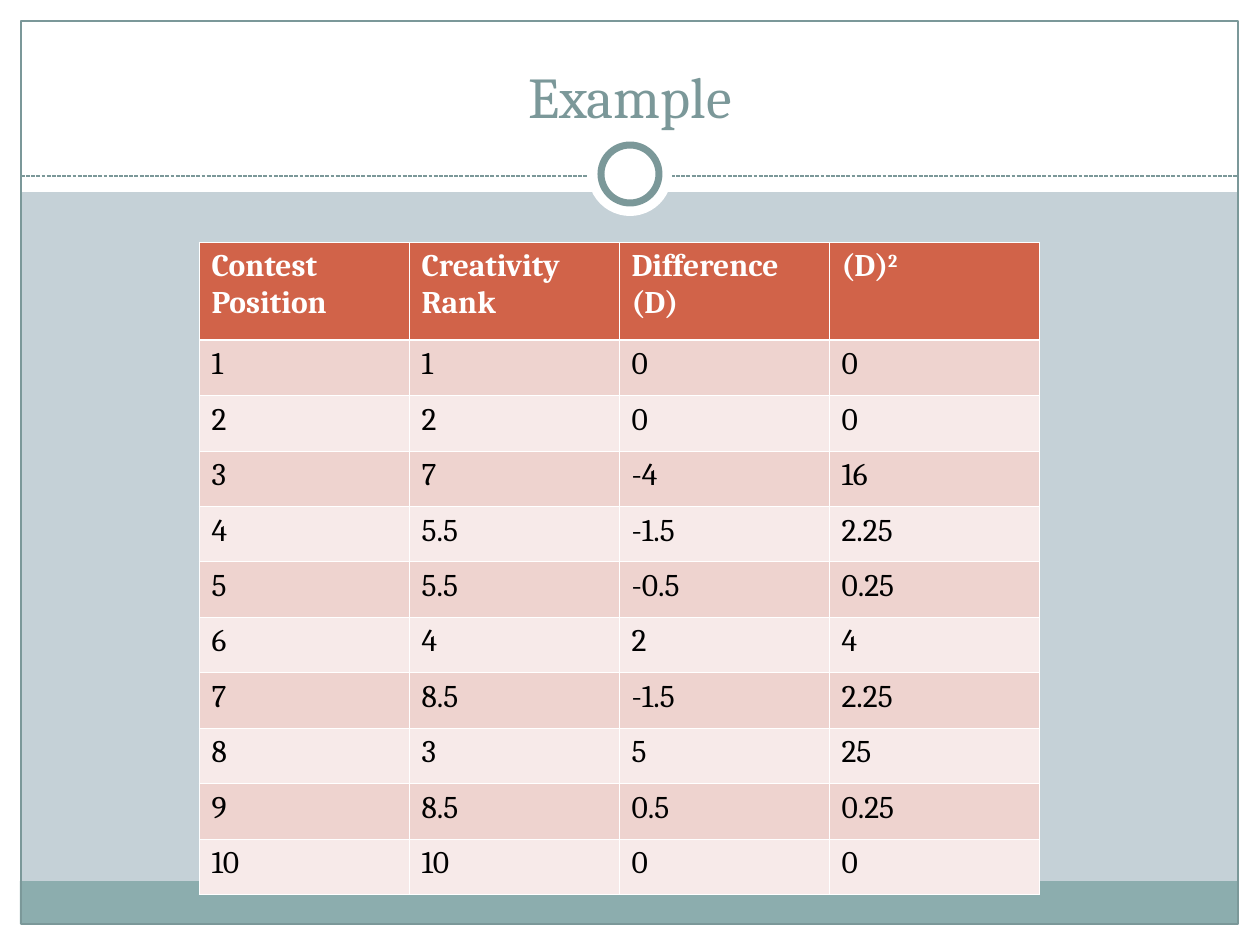
"""Build the rank-difference example slide with its table."""
from typing import NamedTuple, Optional

from lxml.etree import SubElement
from pptx import Presentation
from pptx.dml.color import RGBColor as Rgb
from pptx.enum.dml import MSO_LINE as Dash
from pptx.enum.shapes import MSO_CONNECTOR as Connector, MSO_SHAPE as Preset
from pptx.enum.text import MSO_ANCHOR as Anchor, MSO_AUTO_SIZE as AutoSize, PP_ALIGN as Align
from pptx.oxml.ns import qn
from pptx.util import Emu, Pt

EMU_PER_PX = 914400 / 126
FONT = "Cambria"
COLORS = {
    "page": "C5D1D7", "white": "FFFFFF", "black": "000000", "band": "8CADAE",
    "frame": "7B9899", "header": "D16349", "odd": "EED3CF", "even": "F7EAE9",
}


class Part(NamedTuple):
    left: int
    top: int
    width: int
    height: int
    fill: Optional[str]
    line: Optional[str] = None
    weight: float = 0.75
    preset: Preset = Preset.RECTANGLE


class Span(NamedTuple):
    text: str
    baseline: int = 0


BACKDROP = [
    Part(0, 924, 1260, 21, "white"),
    Part(0, 0, 1260, 192, "white"),
    Part(0, 0, 21, 945, "white"),
    Part(1239, 0, 21, 945, "white"),
    Part(20, 881, 1218, 43, "band"),
    Part(21, 21, 1217, 903, None, "frame"),
]
RINGS = [
    Part(588, 132, 84, 84, "white", preset=Preset.OVAL),
    Part(601, 145, 58, 58, "white", "frame", 4, Preset.OVAL),
]
HEADERS = [
    [Span("Contest Position")],
    [Span("Creativity Rank")],
    [Span("Difference (D)")],
    [Span("(D)"), Span("2", 30000)],
]
RANKS = [1, 2, 7, 5.5, 5.5, 4, 8.5, 3, 8.5, 10]
COLUMN_WIDTH, HEADER_HEIGHT, BODY_HEIGHT = 210, 98, 555


def px(length: float) -> Emu:
    """Turn pixels into EMU."""
    return Emu(round(length * EMU_PER_PX))


def color(name: str) -> Rgb:
    """Look up a named colour."""
    return Rgb.from_string(COLORS[name])


def add_span(para, span: Span, size: int, ink: str, bold: bool = False) -> None:
    """Add one formatted run to a paragraph."""
    run = para.add_run()
    run.text = span.text
    run.font.name, run.font.size, run.font.bold = FONT, Pt(size), bold
    run.font.color.rgb = color(ink)
    if span.baseline:
        run._r.get_or_add_rPr().set("baseline", str(span.baseline))


def add_part(page, part: Part) -> None:
    """Draw one background shape."""
    shape = page.shapes.add_shape(
        part.preset, px(part.left), px(part.top), px(part.width), px(part.height))
    shape.shadow.inherit = False
    if part.fill:
        shape.fill.solid()
        shape.fill.fore_color.rgb = color(part.fill)
    else:
        shape.fill.background()
    if part.line:
        shape.line.color.rgb = color(part.line)
        shape.line.width = Pt(part.weight)
    else:
        shape.line.fill.background()


def add_divider(page) -> None:
    """Draw the dashed line under the title."""
    divider = page.shapes.add_connector(
        Connector.STRAIGHT, px(21), px(176), px(1239), px(176))
    divider.line.color.rgb = color("frame")
    divider.line.width = Pt(0.75)
    divider.line.dash_style = Dash.SQUARE_DOT
    SubElement(divider.element.spPr, qn("a:effectLst"))


def place_title(page, text: str) -> None:
    """Move the title placeholder in front of the backdrop and fill it."""
    title = page.shapes.title
    title.element.getparent().append(title.element)
    title.left, title.top, title.width, title.height = px(42), px(31), px(1176), px(105)
    frame = title.text_frame
    frame.auto_size, frame.word_wrap = AutoSize.NONE, True
    frame.vertical_anchor = Anchor.BOTTOM
    para = frame.paragraphs[0]
    para.alignment = Align.CENTER
    add_span(para, Span(text), 33, "frame")


def add_border(cell, side: str, weight: float) -> None:
    """Add a white border to one side of a cell."""
    line = SubElement(cell._tc.get_or_add_tcPr(), qn(f"a:ln{side}"), w=str(Pt(weight)))
    fill = SubElement(line, qn("a:solidFill"))
    SubElement(fill, qn("a:srgbClr"), val=COLORS["white"])


def fill_cell(cell, spans: list[Span], row: int) -> None:
    """Style a cell by its row and write its text."""
    heavy_side = {0: "B", 1: "T"}.get(row)
    for side in "LRTB":
        add_border(cell, side, 1.47 if side == heavy_side else 0.45)
    cell.fill.solid()
    cell.fill.fore_color.rgb = color("header" if row == 0 else "odd" if row % 2 else "even")
    for span in spans:
        add_span(cell.text_frame.paragraphs[0], span, 18,
                 "black" if row else "white", bold=row == 0)


def add_rank_table(page) -> None:
    """Draw the table of ranks, differences and their squares."""
    rows = [HEADERS]
    for position, rank in enumerate(RANKS, start=1):
        gap = position - rank
        rows.append([[Span(f"{value:g}")] for value in (position, rank, gap, gap ** 2)])
    table = page.shapes.add_table(
        len(rows), len(HEADERS), px(199), px(242),
        px(COLUMN_WIDTH * len(HEADERS)), px(HEADER_HEIGHT + BODY_HEIGHT)).table
    for column in table.columns:
        column.width = px(COLUMN_WIDTH)
    for index, row in enumerate(rows):
        table.rows[index].height = px(BODY_HEIGHT / len(RANKS) if index else HEADER_HEIGHT)
        for column, spans in enumerate(row):
            fill_cell(table.cell(index, column), spans, index)


def main() -> None:
    """Build and save the deck."""
    deck = Presentation()
    deck.slide_width, deck.slide_height = px(1260), px(945)
    page = deck.slides.add_slide(deck.slide_layouts[5])
    page.background.fill.solid()
    page.background.fill.fore_color.rgb = color("page")
    for part in BACKDROP:
        add_part(page, part)
    add_divider(page)
    for ring in RINGS:
        add_part(page, ring)
    place_title(page, "Example")
    add_rank_table(page)
    deck.save("out.pptx")


if __name__ == "__main__":
    main()
